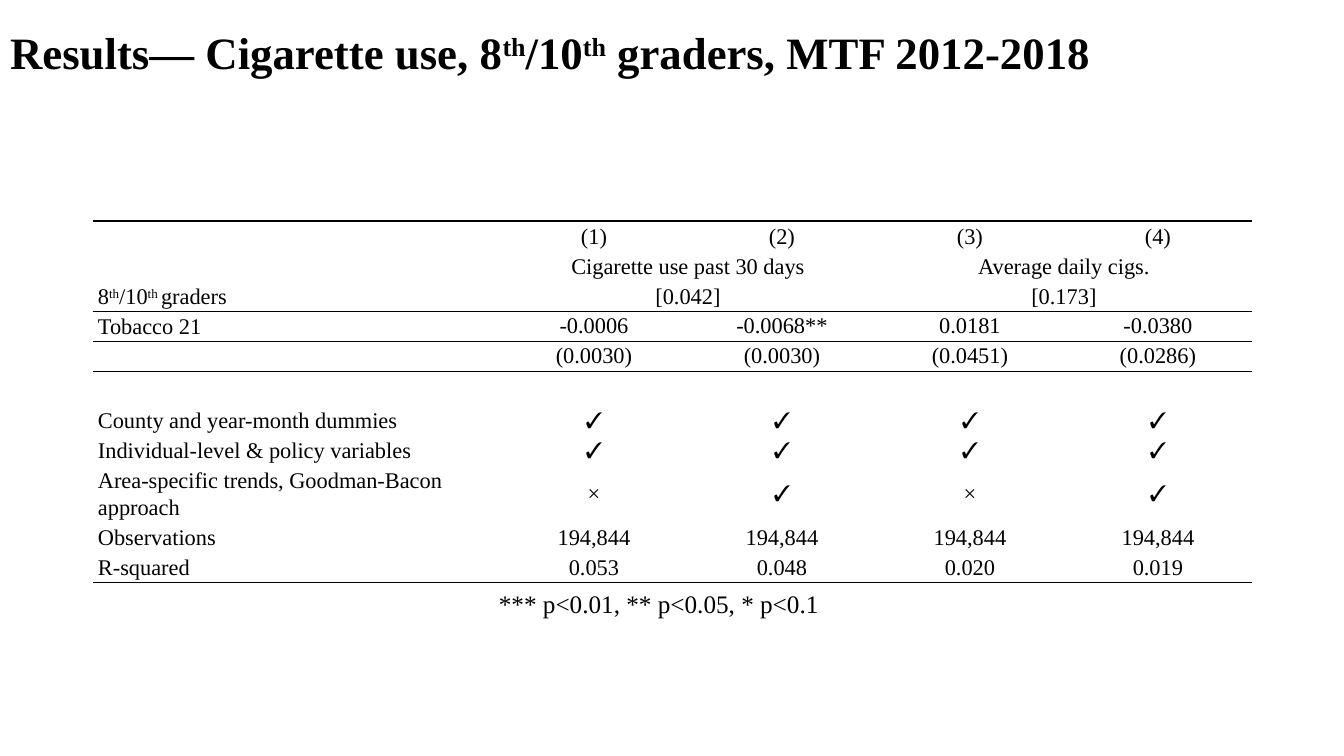
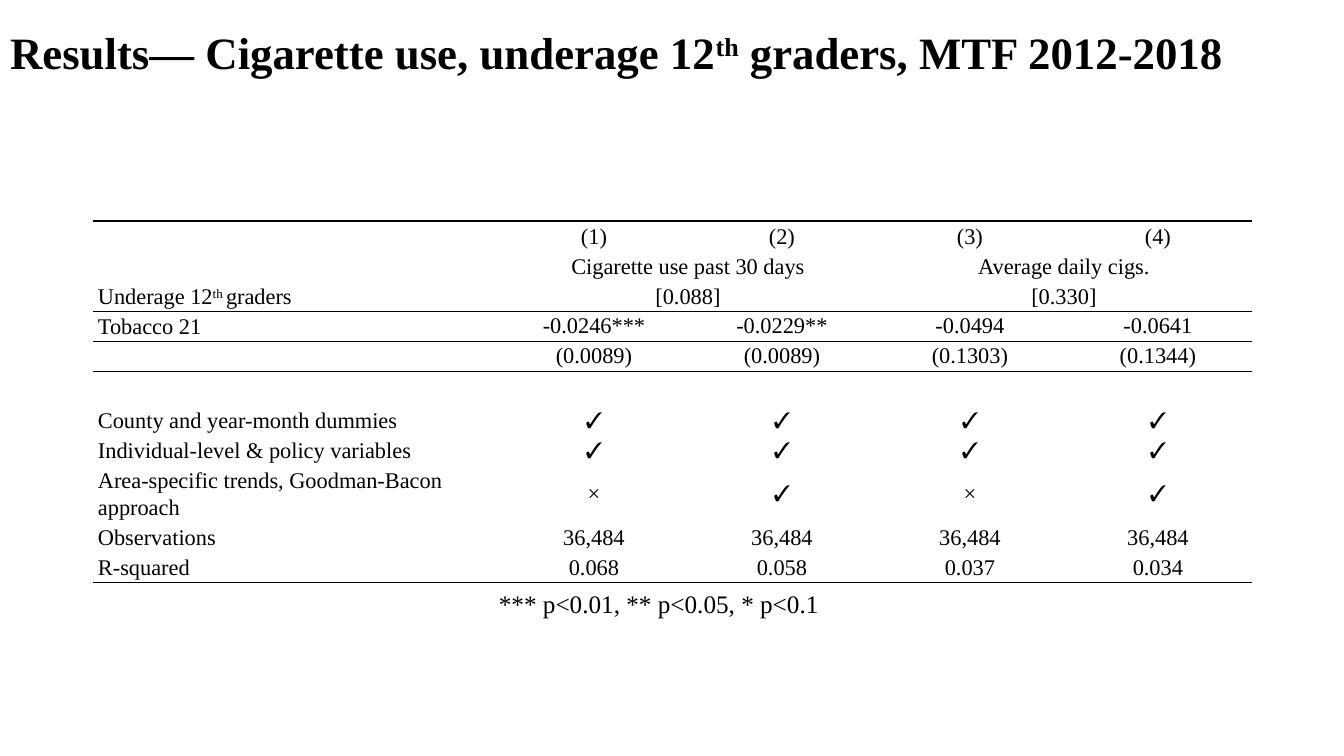
from lxml import etree
from pptx import Presentation
from pptx import util as u
from pptx.dml.color import RGBColor
from pptx.enum import text as t
from pptx.oxml.ns import qn

BLACK = RGBColor(0x00, 0x00, 0x00)
FONT = "Times New Roman"
NO_STYLE = "{2D5ABB26-0587-4C30-8999-92F81FD0307C}"
LEFT, MID = t.PP_ALIGN.LEFT, t.PP_ALIGN.CENTER
WIDTHS = [407] + [188] * 4
HEIGHTS = [30] * 5 + [33, 30, 30, 57, 30, 30]
RULED = {0: ["T"], 2: ["B"], 3: ["T", "B"], 4: ["T"], 10: ["B"]}
SPANS = (1, 2)  # rows whose values each cover two columns
TOPS = (3, 4)  # rows whose values sit at the top
NOTE = "*** p<0.01, ** p<0.05, * p<0.1"
YES, NO = "✓", "×"


def px(n):
    return u.Emu(round(n * u.Inches(1) / 100.8))


def write(frame, words, size=16, bold=False, align=LEFT, line=None, after=None):
    """Fill a text frame; parts between ^ marks are superscript."""
    para = frame.paragraphs[0]
    para.alignment = align
    para.line_spacing = line
    para.space_after = after
    for i, part in enumerate(words.split("^")):
        if not part:
            continue
        run = para.add_run()
        run.text = part
        font = run.font
        font.name, font.size, font.bold = FONT, u.Pt(size), bold
        font.color.rgb = BLACK
        if i % 2:
            font._element.set("baseline", "30000")


def rule(cell, side):
    """Draw a black line on one side (T or B) of a cell."""
    props = cell._tc.get_or_add_tcPr()
    line = etree.SubElement(props, qn(f"a:ln{side}"), w=str(u.Pt(1)))
    fill = etree.SubElement(line, qn("a:solidFill"))
    etree.SubElement(fill, qn("a:srgbClr"), val=str(BLACK))


def head(slide, words):
    title = slide.shapes.title
    title.left, title.top, title.width, title.height = map(px, (0, 0, 1344, 110))
    frame = title.text_frame
    frame.auto_size = t.MSO_AUTO_SIZE.NONE
    frame.vertical_anchor = t.MSO_ANCHOR.MIDDLE
    write(frame, words, size=32, bold=True, line=0.9)


def note(slide, words):
    box = slide.shapes.add_textbox(*map(px, (489, 583, 343, 40)))
    frame = box.text_frame
    frame.word_wrap = False
    frame.auto_size = t.MSO_AUTO_SIZE.SHAPE_TO_FIT_TEXT
    write(frame, words, size=18)


def style(cell, row, col):
    cell.margin_left = cell.margin_right = px(5)
    cell.margin_top = cell.margin_bottom = 0
    top = row in TOPS and col > 0
    cell.vertical_anchor = t.MSO_ANCHOR.TOP if top else t.MSO_ANCHOR.MIDDLE
    for side in RULED.get(row, []):
        rule(cell, side)
    cell.fill.background()


def grid(slide, rows):
    frame = slide.shapes.add_table(
        len(rows), len(WIDTHS), px(93), px(221), px(sum(WIDTHS)), px(sum(HEIGHTS)))
    table = frame.table
    table.first_row = table.horz_banding = False
    table._tbl.tblPr.find(qn("a:tableStyleId")).text = NO_STYLE
    for col, width in zip(table.columns, WIDTHS):
        col.width = px(width)
    for r, (row, height) in enumerate(zip(rows, HEIGHTS)):
        table.rows[r].height = px(height)
        for c, words in enumerate(row):
            cell = table.cell(r, c)
            style(cell, r, c)
            if words:
                write(cell.text_frame, words, align=MID if c else LEFT,
                      line=1.07, after=u.Pt(8))
        if r in SPANS:
            for c in (1, 3):
                table.cell(r, c).merge(table.cell(r, c + 1))


def fill(group, means, effects, errors, count, fits):
    """Arrange one group's results as table rows."""
    return [
        ["", "(1)", "(2)", "(3)", "(4)"],
        ["", "Cigarette use past 30 days", "", "Average daily cigs.", ""],
        [group, means[0], "", means[1], ""],
        ["Tobacco 21", *effects],
        ["", *errors],
        [""] * 5,
        ["County and year-month dummies"] + [YES] * 4,
        ["Individual-level & policy variables"] + [YES] * 4,
        ["Area-specific trends, Goodman-Bacon approach"] + [NO, YES] * 2,
        ["Observations"] + [count] * 4,
        ["R-squared", *fits],
    ]


PAGES = [
    ("8^th^/10^th^", fill(
        "8^th^/10^th ^graders", ["[0.042]", "[0.173]"],
        ["-0.0006", "-0.0068**", "0.0181", "-0.0380"],
        ["(0.0030)", "(0.0030)", "(0.0451)", "(0.0286)"],
        "194,844", ["0.053", "0.048", "0.020", "0.019"])),
    ("underage 12^th^", fill(
        "Underage 12^th ^graders", ["[0.088]", "[0.330]"],
        ["-0.0246***", "-0.0229**", "-0.0494", "-0.0641"],
        ["(0.0089)", "(0.0089)", "(0.1303)", "(0.1344)"],
        "36,484", ["0.068", "0.058", "0.037", "0.034"])),
]


def main():
    deck = Presentation()
    deck.slide_width, deck.slide_height = px(1344), px(756)
    for group, rows in PAGES:
        slide = deck.slides.add_slide(deck.slide_layouts[5])
        head(slide, f"Results— Cigarette use, {group} graders, MTF 2012-2018")
        note(slide, NOTE)
        grid(slide, rows)
    deck.save("out.pptx")


if __name__ == "__main__":
    main()
